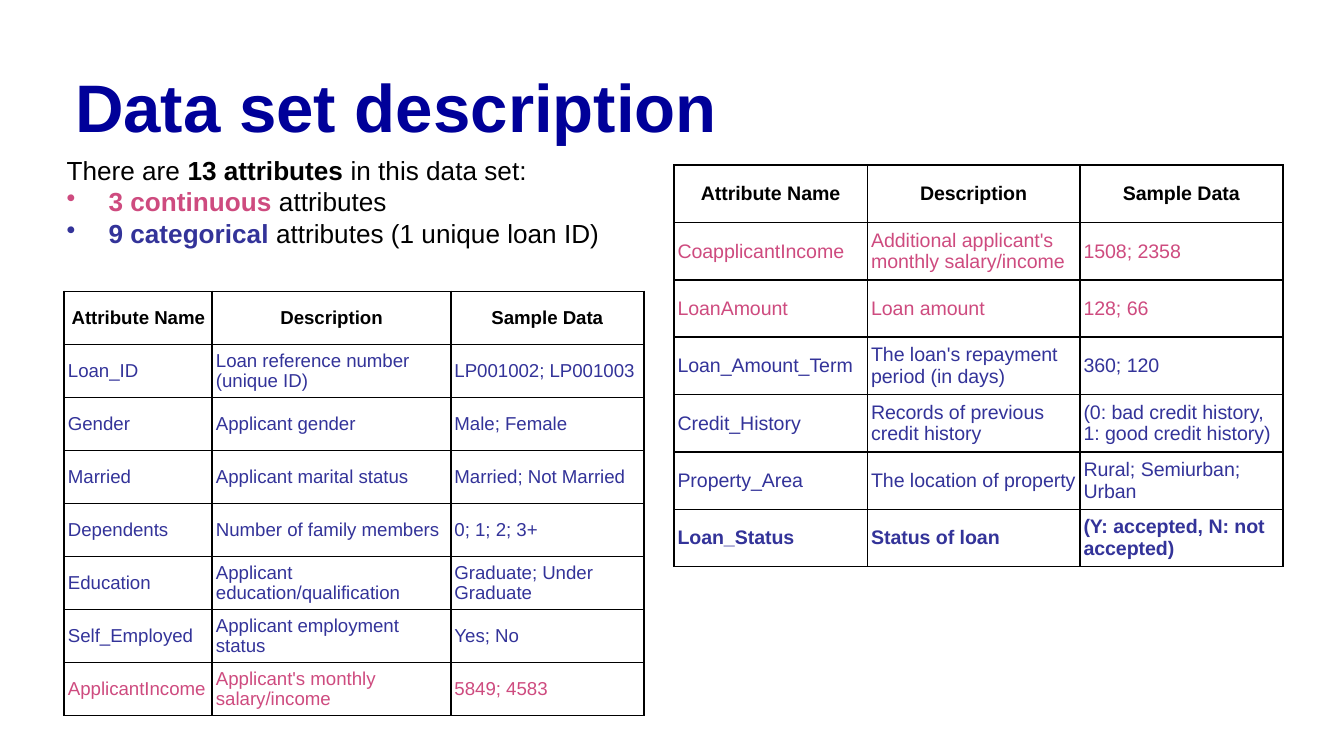
import dataclasses

import lxml.etree
import pptx
import pptx.dml.color
import pptx.enum.text
import pptx.oxml.ns
import pptx.util

Pt = pptx.util.Pt
RGB = pptx.dml.color.RGBColor.from_string
ALIGN = pptx.enum.text.PP_ALIGN
ANCHOR = pptx.enum.text.MSO_ANCHOR


@dataclasses.dataclass(frozen=True)
class Theme:
    font: str = "Arial"
    title: str = "000099"
    ink: str = "000000"
    paper: str = "FFFFFF"
    categorical: str = "333399"
    continuous: str = "CE4B7F"
    title_size: float = 36
    body_size: float = 14
    left_table_size: float = 10
    right_table_size: float = 10.5
    border: float = 1


THEME = Theme()
HEADER = ("Attribute Name", "Description", "Sample Data")

LEFT_ROWS = [
    ("Loan_ID", "Loan reference number\n(unique ID)", "LP001002; LP001003"),
    ("Gender", "Applicant gender", "Male; Female"),
    ("Married", "Applicant marital status", "Married; Not Married"),
    ("Dependents", "Number of family members", "0; 1; 2; 3+"),
    ("Education", "Applicant education/qualification", "Graduate; Under Graduate"),
    ("Self_Employed", "Applicant employment status", "Yes; No"),
    ("ApplicantIncome", "Applicant's monthly salary/income", "5849; 4583"),
]
RIGHT_ROWS = [
    ("CoapplicantIncome", "Additional applicant's monthly salary/income", "1508; 2358"),
    ("LoanAmount", "Loan amount", "128; 66"),
    ("Loan_Amount_Term", "The loan's repayment period (in days)", "360; 120"),
    ("Credit_History", "Records of previous credit history",
     "(0: bad credit history, 1: good credit history)"),
    ("Property_Area", "The location of property", "Rural; Semiurban; Urban"),
    ("Loan_Status", "Status of loan", "(Y: accepted, N: not accepted)"),
]
CONTINUOUS = {"ApplicantIncome", "CoapplicantIncome", "LoanAmount"}
TARGET = "Loan_Status"

SUMMARY = [
    ("There are ", "13 attributes", " in this data set:", THEME.ink),
    ("", "3 continuous", " attributes", THEME.continuous),
    ("", "9 categorical", " attributes (1 unique loan ID)", THEME.categorical),
]


def style(font, size, color, bold=False):
    font.name = THEME.font
    font.size = Pt(size)
    font.bold = bold
    font.color.rgb = RGB(color)


def add_child(parent, tag, **attributes):
    return lxml.etree.SubElement(parent, pptx.oxml.ns.qn(tag), **attributes)


def add_bullet(para, color):
    properties = para._p.get_or_add_pPr()
    properties.set("marL", str(Pt(22.5)))
    properties.set("indent", str(-Pt(22.5)))
    bullet_color = lxml.etree.Element(pptx.oxml.ns.qn("a:buClr"))
    add_child(bullet_color, "a:srgbClr", val=color)
    bullet = lxml.etree.Element(pptx.oxml.ns.qn("a:buChar"), char="•")
    properties.insert(0, bullet_color)
    properties.insert(1, bullet)


def add_borders(cell):
    properties = cell._tc.get_or_add_tcPr()
    for side in ("a:lnL", "a:lnR", "a:lnT", "a:lnB"):
        line = add_child(properties, side, w=str(Pt(THEME.border)))
        fill = add_child(line, "a:solidFill")
        add_child(fill, "a:srgbClr", val=THEME.ink)


def place_title(page, left, top, width, height):
    title = page.shapes.title
    title.left, title.top = Pt(left), Pt(top)
    title.width, title.height = Pt(width), Pt(height)
    frame = title.text_frame
    frame.vertical_anchor = ANCHOR.MIDDLE
    frame.word_wrap = True
    frame.text = "Data set description"
    para = frame.paragraphs[0]
    para.alignment = ALIGN.LEFT
    para.line_spacing = 0.9
    style(para.font, THEME.title_size, THEME.title, True)


def place_summary(page, left, top, width, height):
    box = page.shapes.add_textbox(Pt(left), Pt(top), Pt(width), Pt(height))
    frame = box.text_frame
    frame.word_wrap = True
    for index, (before, key, after, color) in enumerate(SUMMARY):
        para = frame.paragraphs[0] if index == 0 else frame.add_paragraph()
        style(para.font, THEME.body_size, THEME.ink)
        if not before:
            add_bullet(para, color)
        for text in (before, key, after):
            if text:
                span = para.add_run()
                span.text = text
                is_key = text == key
                style(span.font, THEME.body_size, color if is_key else THEME.ink, is_key)


def fill_cell(cell, text, size, color, bold, align):
    cell.vertical_anchor = ANCHOR.MIDDLE
    cell.margin_left = cell.margin_right = Pt(2)
    cell.margin_top = cell.margin_bottom = Pt(0.7)
    para = cell.text_frame.paragraphs[0]
    para.text = text
    para.alignment = align
    style(para.font, size, color, bold)
    add_borders(cell)
    cell.fill.background()


def place_table(page, left, top, column_widths, row_height, rows, size):
    lines = [HEADER, *rows]
    table = page.shapes.add_table(
        len(lines), len(HEADER), Pt(left), Pt(top),
        Pt(sum(column_widths)), Pt(row_height * len(lines))).table
    table.first_row = table.horz_banding = False
    for column, width in zip(table.columns, column_widths):
        column.width = Pt(width)
    for row, texts in zip(table.rows, lines):
        row.height = Pt(row_height)
        name = texts[0]
        is_header = texts is HEADER
        color = THEME.continuous if name in CONTINUOUS else THEME.categorical
        for cell, text in zip(row.cells, texts):
            fill_cell(cell, text, size, THEME.ink if is_header else color,
                      is_header or name == TARGET,
                      ALIGN.CENTER if is_header else ALIGN.LEFT)
            if name == TARGET:
                cell.fill.solid()
                cell.fill.fore_color.rgb = RGB(THEME.paper)


def main():
    deck = pptx.Presentation()
    deck.slide_width, deck.slide_height = Pt(720), Pt(405)
    page = deck.slides.add_slide(deck.slide_layouts[5])
    place_title(page, 33, 34, 653, 51)
    place_table(page, 34.4, 156.2, (79.3, 127.8, 103.4), 28.43,
                LEFT_ROWS, THEME.left_table_size)
    place_table(page, 361, 88.5, (103.7, 113.8, 108.8), 30.75,
                RIGHT_ROWS, THEME.right_table_size)
    place_summary(page, 28.6, 79.2, 495, 58.3)
    deck.save("out.pptx")


if __name__ == "__main__":
    main()
